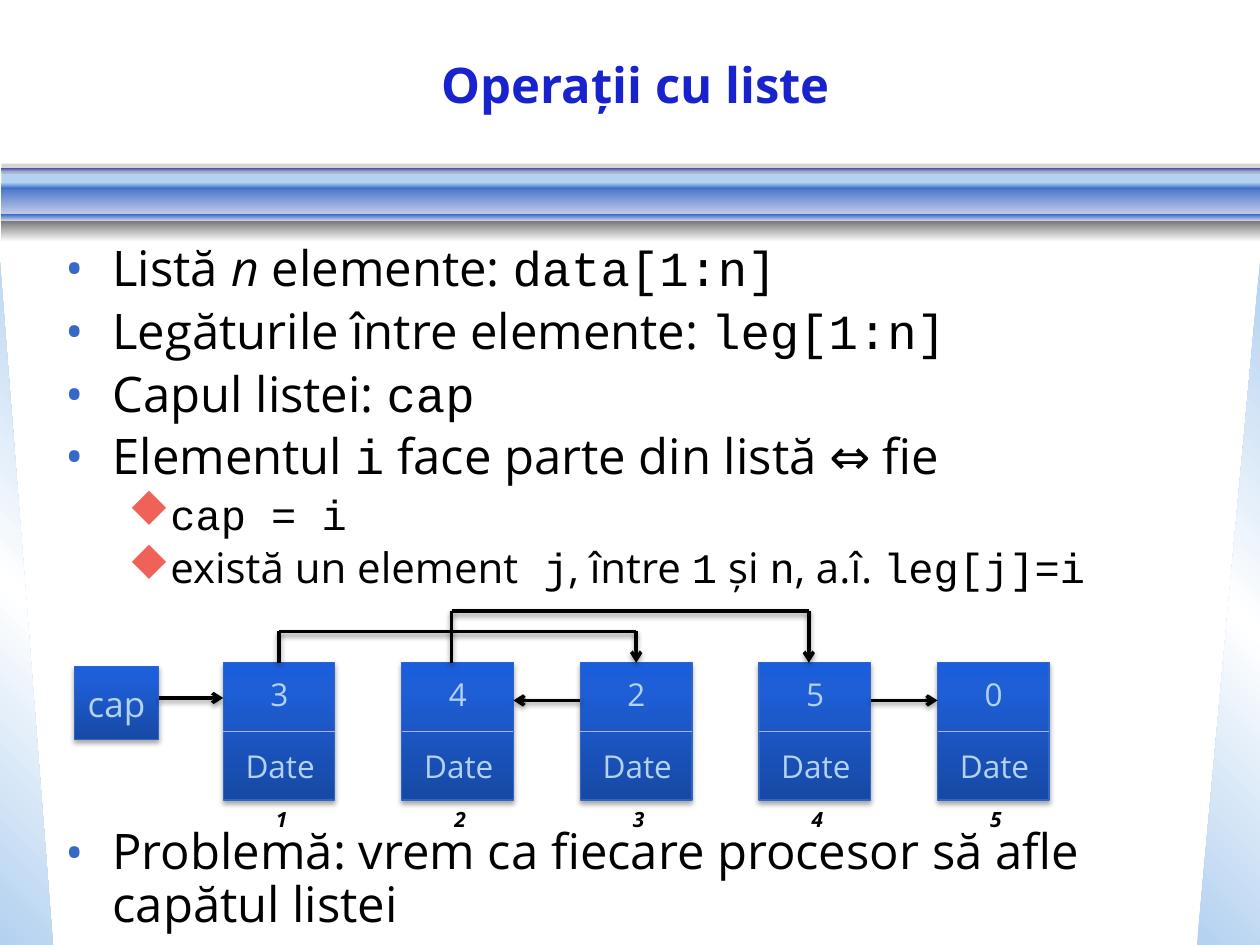
from pptx import Presentation
from pptx import util as u
from pptx.dml.color import RGBColor
from pptx.enum import shapes, text
from pptx.oxml import parse_xml
from pptx.oxml.ns import nsdecls, qn
from pptx.oxml.xmlchemy import OxmlElement

BLACK = RGBColor(0x00, 0x00, 0x00)
WHITE = RGBColor(0xFF, 0xFF, 0xFF)
GRAY = RGBColor(0x77, 0x77, 0x77)
TITLE_BLUE = RGBColor(0x18, 0x22, 0xCD)
LILAC = RGBColor(0xBA, 0xBB, 0xE7)
PALE = RGBColor(0xCA, 0xD0, 0xE9)
SKY = RGBColor(0xB3, 0xD1, 0xF0)
BLUE = RGBColor(0x35, 0x68, 0xC7)
CORAL = RGBColor(0xF0, 0x61, 0x57)
CARD_LINE = RGBColor(0x30, 0x65, 0xC6)
DIVIDER = RGBColor(0xA9, 0xB4, 0xDC)
CARD_STOPS = [(0, RGBColor(0x17, 0x49, 0xA5)), (80, RGBColor(0x1E, 0x5E, 0xD6)),
              (100, RGBColor(0x1B, 0x5E, 0xDB))]

CODE = {"font": "Courier New"}
ITALIC = {"italic": True}
RECT = shapes.MSO_SHAPE.RECTANGLE
# size, left indent, hanging indent, bullet colour, bullet font, bullet (Wingdings "u" is a diamond)
LEVELS = [(28, 0.95, 0.95, BLUE, "Open Sans", "•"),
          (24, 2.06, 0.79, CORAL, "Wingdings", "u")]


def write(p, content, size=28, font="Open Sans", color=BLACK, bold=False, italic=False):
    r = p.add_run()
    r.text = content
    r.font.size = u.Pt(size)
    r.font.name = font
    r.font.color.rgb = color
    r.font.bold = bold
    r.font.italic = italic


def cast_shadow(sp, alpha, dist):
    sp._element.spPr.append(parse_xml(
        f'<a:effectLst {nsdecls("a")}><a:outerShdw blurRad="{u.Pt(3.1)}" dist="{u.Pt(dist)}" '
        f'dir="5400000" rotWithShape="0"><a:srgbClr val="000000"><a:alpha val="{alpha * 1000}"/>'
        '</a:srgbClr></a:outerShdw></a:effectLst>'))


class Deck:
    def __init__(self):
        self.prs = Presentation()
        self.prs.slide_width, self.prs.slide_height = u.Cm(25.4), u.Cm(19.05)
        self.s = self.prs.slides.add_slide(self.prs.slide_layouts[5])
        self.s.background.fill.solid()
        self.s.background.fill.fore_color.rgb = WHITE

    def title(self, content, x, y, w, h):
        sp = self.s.shapes.title
        sp.left, sp.top, sp.width, sp.height = map(u.Cm, (x, y, w, h))
        sp.text_frame.vertical_anchor = text.MSO_ANCHOR.MIDDLE
        p = sp.text_frame.paragraphs[0]
        p.alignment = text.PP_ALIGN.CENTER
        write(p, content, color=TITLE_BLUE, bold=True)

    def shape(self, x, y, w, h, stops, angle=90, kind=RECT):
        """Add a borderless shape with a clockwise linear gradient of (percent, colour) stops."""
        sp = self.s.shapes.add_shape(kind, *map(u.Cm, (x, y, w, h)))
        sp.shadow.inherit = False
        sp.line.fill.background()
        sp.fill.gradient()
        marks = "".join(f'<a:gs pos="{at * 1000}"><a:srgbClr val="{c}"/></a:gs>' for at, c in stops)
        spPr = sp._element.spPr
        spPr.replace(spPr.find(qn("a:gradFill")), parse_xml(
            f'<a:gradFill rotWithShape="1" {nsdecls("a")}><a:gsLst>{marks}</a:gsLst>'
            f'<a:lin ang="{angle * 60000}" scaled="0"/></a:gradFill>'))
        return sp

    def flat(self, x, y, w, h, color, opacity=100):
        sp = self.shape(x, y, w, h, [(0, color), (100, color)])
        sp.fill.solid()
        sp.fill.fore_color.rgb = color
        alpha = OxmlElement("a:alpha")
        alpha.set("val", str(opacity * 1000))
        sp._element.spPr.find(qn("a:solidFill"))[0].append(alpha)

    def box(self, x, y, w, h):
        sp = self.shape(x, y, w, h, CARD_STOPS, 270)
        sp.line.color.rgb = CARD_LINE
        sp.line.width = u.Pt(0.75)
        spPr = sp._element.spPr
        spPr.remove(spPr.find(qn("a:effectLst")))
        cast_shadow(sp, 35, 1.8)
        return sp

    def line(self, x1, y1, x2, y2, color=BLACK, width=2, head=False, shadow=True):
        c = self.s.shapes.add_connector(shapes.MSO_CONNECTOR.STRAIGHT, *map(u.Cm, (x1, y1, x2, y2)))
        c.line.color.rgb = color
        c.line.width = u.Pt(width)
        if head:
            end = OxmlElement("a:tailEnd")
            end.set("type", "arrow")
            c._element.spPr.find(qn("a:ln")).append(end)
        if shadow:
            cast_shadow(c, 38, 1.6)
        else:
            c._element.spPr.append(OxmlElement("a:effectLst"))
        return c

    def frame(self, x, y, w, h):
        tf = self.s.shapes.add_textbox(*map(u.Cm, (x, y, w, h))).text_frame
        tf.word_wrap = True
        return tf

    def label(self, content, x, y, w, h, **fmt):
        write(self.frame(x, y, w, h).paragraphs[0], content, **fmt)

    def bullets(self, items, x, y, w, h):
        """Fill a text box with (level, runs) items; a run is a string or (string, format)."""
        tf = self.frame(x, y, w, h)
        for i, (level, runs) in enumerate(items):
            p = tf.add_paragraph() if i else tf.paragraphs[0]
            size, left, hang, color, font, mark = LEVELS[level]
            p.level = level
            p.line_spacing = 0.9
            p.space_before = u.Pt(size * 0.2)
            pPr = p._p.get_or_add_pPr()
            pPr.set("marL", str(u.Cm(left)))
            pPr.set("indent", str(-u.Cm(hang)))
            for xml in (f'<a:buClr {nsdecls("a")}><a:srgbClr val="{color}"/></a:buClr>',
                        f'<a:buFont {nsdecls("a")} typeface="{font}"/>',
                        f'<a:buChar {nsdecls("a")} char="{mark}"/>'):
                pPr.append(parse_xml(xml))
            for run in runs:
                content, fmt = (run, {}) if isinstance(run, str) else run
                write(p, content, size=size, **fmt)


def draw_background(d):
    sweep = [(0, SKY), (50, WHITE), (100, SKY)]
    triangle = shapes.MSO_SHAPE.RIGHT_TRIANGLE
    d.shape(0, 5.28, 1.07, 13.77, sweep, 315, triangle)
    right = d.shape(24.13, 5.28, 1.27, 13.77, sweep, 45, triangle)
    right._element.spPr.xfrm.set("flipH", "1")
    d.flat(0.03, 3.45, 25.37, 0.25, SKY)
    for y, h, start, end in [(3.71, 0.64, BLUE, PALE), (3.38, 0.08, TITLE_BLUE, LILAC),
                             (4.32, 0.13, BLUE, PALE), (3.68, 0.13, SKY, BLUE),
                             (4.45, 0.43, GRAY, WHITE)]:
        d.shape(0.03, y, 25.37, h, [(0, start), (100, end)])
    d.flat(0.03, 3.3, 25.37, 0.2, GRAY, opacity=31)


def draw_list(d):
    x0, pitch, w, top, h = 4.5, 3.6, 2.25, 13.36, 2.77
    head = d.box(1.5, 13.44, 1.7, 1.47)
    head.text_frame.word_wrap = False
    head.text_frame.vertical_anchor = text.MSO_ANCHOR.MIDDLE
    p = head.text_frame.paragraphs[0]
    p.alignment = text.PP_ALIGN.CENTER
    write(p, "cap", size=20, color=SKY)

    lefts = [x0 + i * pitch for i in range(5)]
    cards = []
    for i, (x, link) in enumerate(zip(lefts, "34250"), 1):
        card = d.box(x, top, w, h)
        cards.append(card)
        c = d.line(x, top + h / 2, x + w, top + h / 2, DIVIDER, 0.75, shadow=False)
        c.begin_connect(card, 1)
        c.end_connect(card, 3)
        d.label(str(i), x + 0.81, 16.13, 1, 0.76, size=12, bold=True, italic=True)
        d.label("Date", x + 0.2, 14.94, 2.4, 1.02, size=18, color=SKY)
        d.label(link, x + 0.7, 13.49, 1.1, 1.02, size=18, color=SKY)

    d.line(lefts[3] + w, 14.12, lefts[4], 14.12, head=True)
    d.line(lefts[2], 14.12, lefts[1] + w, 14.12, head=True)
    d.line(3.2, 14.07, lefts[0], 14.07, head=True)
    for start, end, y, shift in [(0, 2, 12.73, 0), (1, 3, 12.32, -0.12)]:
        x1, x2 = (lefts[i] + w / 2 + shift for i in (start, end))
        d.line(x1, y, x2, y)
        down = d.line(x2, y, x2, top, head=True)
        up = d.line(x1, y, x1, top)
        if not shift:
            down.end_connect(cards[end], 0)
            up.end_connect(cards[start], 0)


def main():
    d = Deck()
    draw_background(d)
    d.title("Operații cu liste", 0.43, 0.2, 24.77, 2.97)
    d.bullets([
        (0, ["Listă ", ("n", ITALIC), " elemente: ", ("data[1:n]", CODE)]),
        (0, ["Legăturile între elemente: ", ("leg[1:n]", CODE)]),
        (0, ["Capul listei: ", ("cap", CODE)]),
        (0, ["Elementul ", ("i", CODE), " face parte din listă ⇔ fie"]),
        (1, [("cap = i", CODE)]),
        (1, ["există un element", (" j", CODE), ", între ", ("1", CODE), " și ", ("n", CODE),
             ", a.î. ", ("leg[j]=i", CODE)]),
    ], 1.07, 4.8, 23.29, 7.4)
    d.bullets([(0, ["Problemă: vrem ca fiecare procesor să afle capătul listei"])],
              1.07, 16.56, 23.29, 2.4)
    draw_list(d)
    d.prs.save("out.pptx")


if __name__ == "__main__":
    main()
